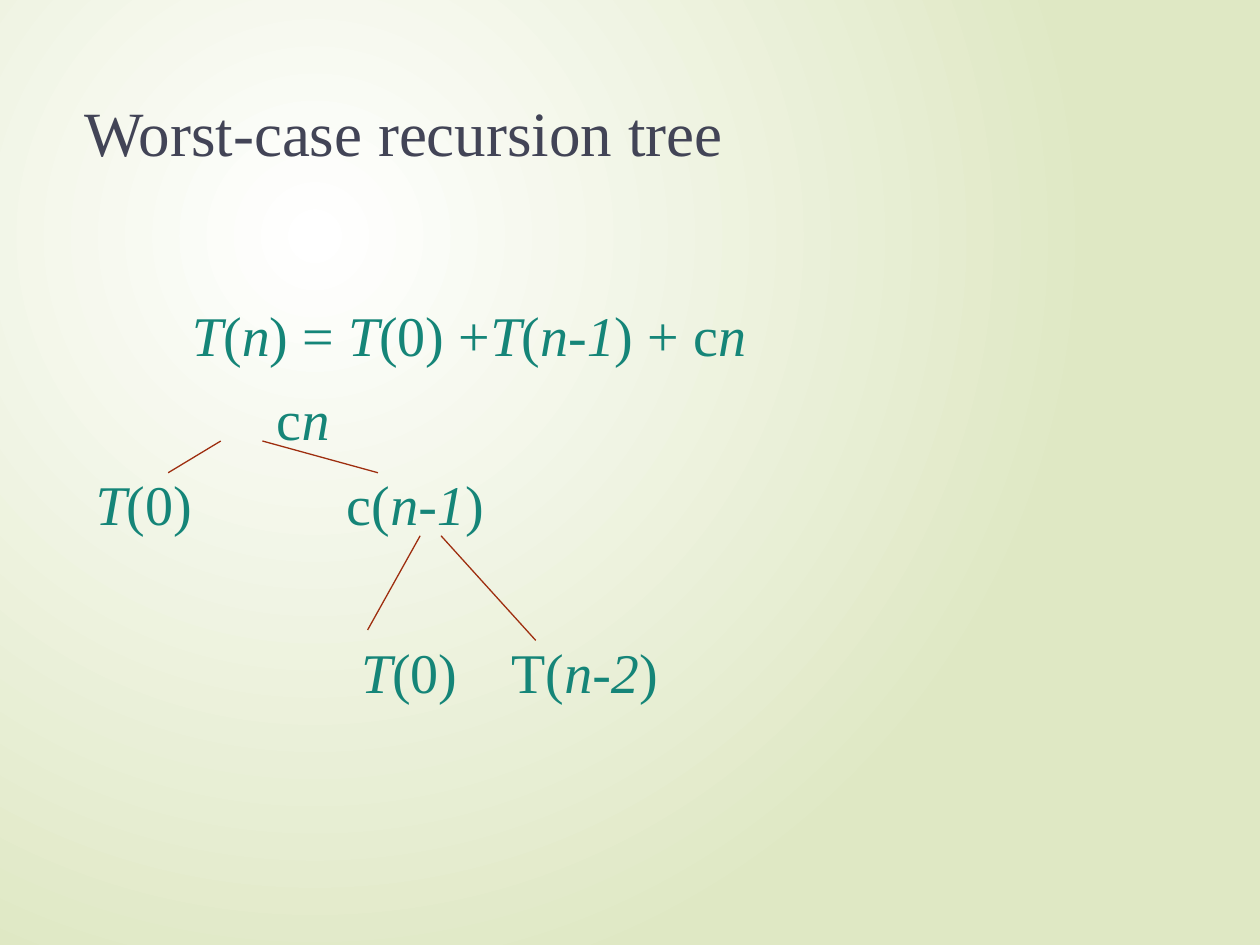
from dataclasses import dataclass

from lxml import etree
from pptx import Presentation
from pptx import util as u
from pptx.dml.color import RGBColor
from pptx.enum import shapes, text
from pptx.oxml import ns


@dataclass(frozen=True)
class Theme:
    font: str = "Times New Roman"
    title_size: float = 36
    body_size: float = 32
    title: str = "424456"
    body: str = "158578"
    branch: str = "9E2E0F"
    branch_width: float = 0.75
    glow: str = "FFFFFF"
    edge: str = "DFE8C4"


THEME = Theme()
ROW_TOP, ROW_PITCH, ROW_HEIGHT = 6.06, 1.7, 1.3

LABELS = [
    (0, 3.87, 12, "*T*(*n*) = *T*(0) +*T*(*n-1*) + c*n*"),
    (1, 5.58, 1.5, "c*n*"),
    (2, 1.93, 2.5, "*T*(0)"),
    (2, 6.99, 3.5, "c(*n-1*)"),
    (4, 7.28, 2.5, "*T*(0)"),
    (4, 10.31, 3.5, "T(*n-2*)"),
]

BRANCHES = [
    (3.39, 9.53, 4.45, 8.89),
    (5.29, 8.89, 7.62, 9.53),
    (8.47, 10.8, 7.41, 12.7),
    (8.89, 10.8, 10.8, 12.91),
]


def paint_background(s):
    fill = s.background.fill
    fill.gradient()
    for stop, color in zip(fill.gradient_stops, (THEME.glow, THEME.edge)):
        stop.color.rgb = RGBColor.from_string(color)
    grad = s.element.find(".//" + ns.qn("a:gradFill"))
    grad.remove(grad.find(ns.qn("a:lin")))
    circle = etree.SubElement(grad, ns.qn("a:path"), path="circle")
    etree.SubElement(circle, ns.qn("a:fillToRect"),
                     l="50000", t="50000", r="100000", b="100000")


def write(tf, marked, size, color):
    tf.margin_left = tf.margin_top = tf.margin_right = tf.margin_bottom = 0
    tf.vertical_anchor = text.MSO_ANCHOR.TOP
    p = tf.paragraphs[0]
    p.alignment = text.PP_ALIGN.LEFT
    for i, part in enumerate(marked.split("*")):
        if part:
            r = p.add_run()
            r.text = part
            r.font.name = THEME.font
            r.font.size = u.Pt(size)
            r.font.italic = i % 2 == 1
            r.font.color.rgb = RGBColor.from_string(color)


def add_title(s, words):
    sp = s.shapes.title
    sp.left, sp.top = u.Cm(1.7), u.Cm(1.73)
    sp.width, sp.height = u.Cm(22.02), u.Cm(3.56)
    write(sp.text_frame, words, THEME.title_size, THEME.title)
    sp.text_frame.margin_top = u.Cm(0.16)


def add_label(s, row, left, width, marked):
    sp = s.shapes.add_textbox(u.Cm(left), u.Cm(ROW_TOP + row * ROW_PITCH),
                              u.Cm(width), u.Cm(ROW_HEIGHT))
    sp.text_frame.word_wrap = False
    write(sp.text_frame, marked, THEME.body_size, THEME.body)


def add_branch(s, *ends):
    line = s.shapes.add_connector(shapes.MSO_CONNECTOR.STRAIGHT, *map(u.Cm, ends))
    line.line.color.rgb = RGBColor.from_string(THEME.branch)
    line.line.width = u.Pt(THEME.branch_width)
    etree.SubElement(line.element.spPr, ns.qn("a:effectLst"))


def main():
    prs = Presentation()
    prs.slide_width, prs.slide_height = u.Cm(25.4), u.Cm(19.05)
    s = prs.slides.add_slide(prs.slide_layouts[5])
    paint_background(s)
    add_title(s, "Worst-case recursion tree")
    for label in LABELS:
        add_label(s, *label)
    for branch in BRANCHES:
        add_branch(s, *branch)
    prs.save("out.pptx")


if __name__ == "__main__":
    main()
